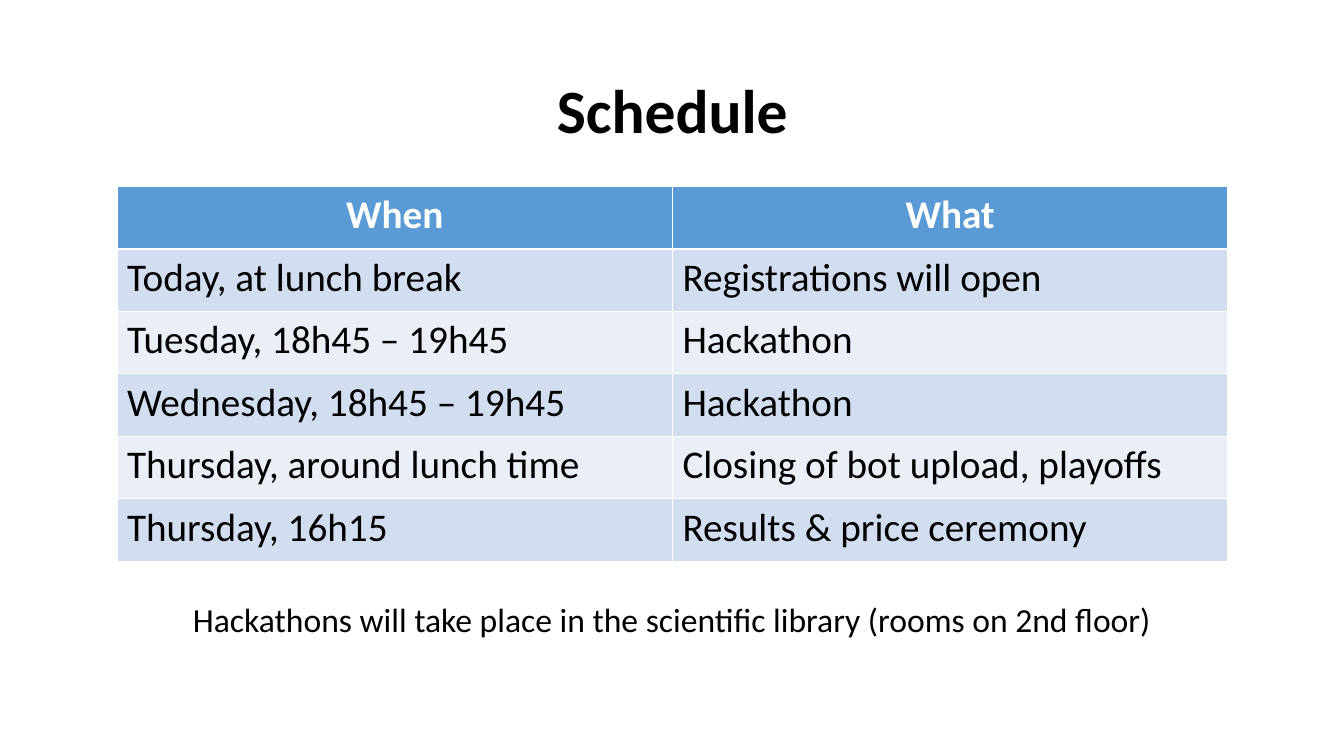
import dataclasses

import pptx
import pptx.dml.color
import pptx.enum.text
import pptx.util

Inches = pptx.util.Inches
RGBColor = pptx.dml.color.RGBColor
Align = pptx.enum.text.PP_ALIGN
Anchor = pptx.enum.text.MSO_ANCHOR

FONT = "Calibri"
BLACK = RGBColor(0x00, 0x00, 0x00)
WHITE = RGBColor(0xFF, 0xFF, 0xFF)
HEADER_BLUE = RGBColor(0x5B, 0x9B, 0xD5)
BAND_COLORS = (RGBColor(0xD2, 0xDE, 0xEF), RGBColor(0xEA, 0xEF, 0xF7))
ROW_HEIGHT = 0.62
COLUMN_WIDTH = 5.51


@dataclasses.dataclass(frozen=True)
class TextStyle:
    """Look of one paragraph."""

    size: int
    color: RGBColor = BLACK
    bold: bool = False
    alignment: Align = Align.LEFT
    line_spacing: float = 1.0


@dataclasses.dataclass(frozen=True)
class Caption:
    """Text box with its place in inches."""

    text: str
    left: float
    top: float
    width: float
    height: float
    style: TextStyle
    anchor: Anchor = Anchor.TOP


@dataclasses.dataclass(frozen=True)
class Event:
    """One line of the schedule."""

    when: str
    what: str


TITLE_STYLE = TextStyle(44, bold=True, alignment=Align.CENTER, line_spacing=0.9)
NOTE_STYLE = TextStyle(24, alignment=Align.CENTER)
HEADER_STYLE = TextStyle(28, WHITE, True, Align.CENTER)
BODY_STYLE = TextStyle(28)

CAPTIONS = (
    Caption("Schedule", 0.92, 0.4, 11.5, 1.45, TITLE_STYLE, Anchor.MIDDLE),
    Caption(
        "Hackathons will take place in the scientific library (rooms on 2nd floor)",
        0, 5.89, 13.33, 0.5, NOTE_STYLE,
    ),
)
EVENTS = (
    Event("When", "What"),
    Event("Today, at lunch break", "Registrations will open"),
    Event("Tuesday, 18h45 – 19h45", "Hackathon"),
    Event("Wednesday, 18h45 – 19h45", "Hackathon"),
    Event("Thursday, around lunch time", "Closing of bot upload, playoffs"),
    Event("Thursday, 16h15", "Results & price ceremony"),
)


def write_text(
    text_frame: pptx.text.text.TextFrame, text: str, style: TextStyle
) -> None:
    """Set the text of a frame and format it."""
    text_frame.text = text
    paragraph = text_frame.paragraphs[0]
    paragraph.alignment = style.alignment
    paragraph.line_spacing = style.line_spacing
    font = paragraph.runs[0].font
    font.name = FONT
    font.size = pptx.util.Pt(style.size)
    font.bold = style.bold
    font.color.rgb = style.color


def add_caption(slide: pptx.slide.Slide, caption: Caption) -> None:
    """Add a wrapped text box."""
    shape = slide.shapes.add_textbox(
        Inches(caption.left), Inches(caption.top),
        Inches(caption.width), Inches(caption.height),
    )
    shape.text_frame.word_wrap = True
    shape.text_frame.vertical_anchor = caption.anchor
    write_text(shape.text_frame, caption.text, caption.style)


def add_schedule(slide: pptx.slide.Slide, events: tuple[Event, ...]) -> None:
    """Add the table with a header row and banded event rows."""
    column_count = len(dataclasses.fields(Event))
    table = slide.shapes.add_table(
        len(events), column_count, Inches(1.16), Inches(1.85),
        Inches(COLUMN_WIDTH * column_count), Inches(ROW_HEIGHT * len(events)),
    ).table
    for row_index, event in enumerate(events):
        table.rows[row_index].height = Inches(ROW_HEIGHT)
        is_header = row_index == 0
        fill_color = HEADER_BLUE if is_header else BAND_COLORS[(row_index - 1) % 2]
        style = HEADER_STYLE if is_header else BODY_STYLE
        for column_index, text in enumerate(dataclasses.astuple(event)):
            cell = table.cell(row_index, column_index)
            cell.fill.solid()
            cell.fill.fore_color.rgb = fill_color
            write_text(cell.text_frame, text, style)


def main() -> None:
    """Build and save the schedule slide."""
    presentation = pptx.Presentation()
    presentation.slide_width = Inches(13.33)
    presentation.slide_height = Inches(7.5)
    slide = presentation.slides.add_slide(presentation.slide_layouts[6])
    for caption in CAPTIONS:
        add_caption(slide, caption)
    add_schedule(slide, EVENTS)
    presentation.save("out.pptx")


main()
